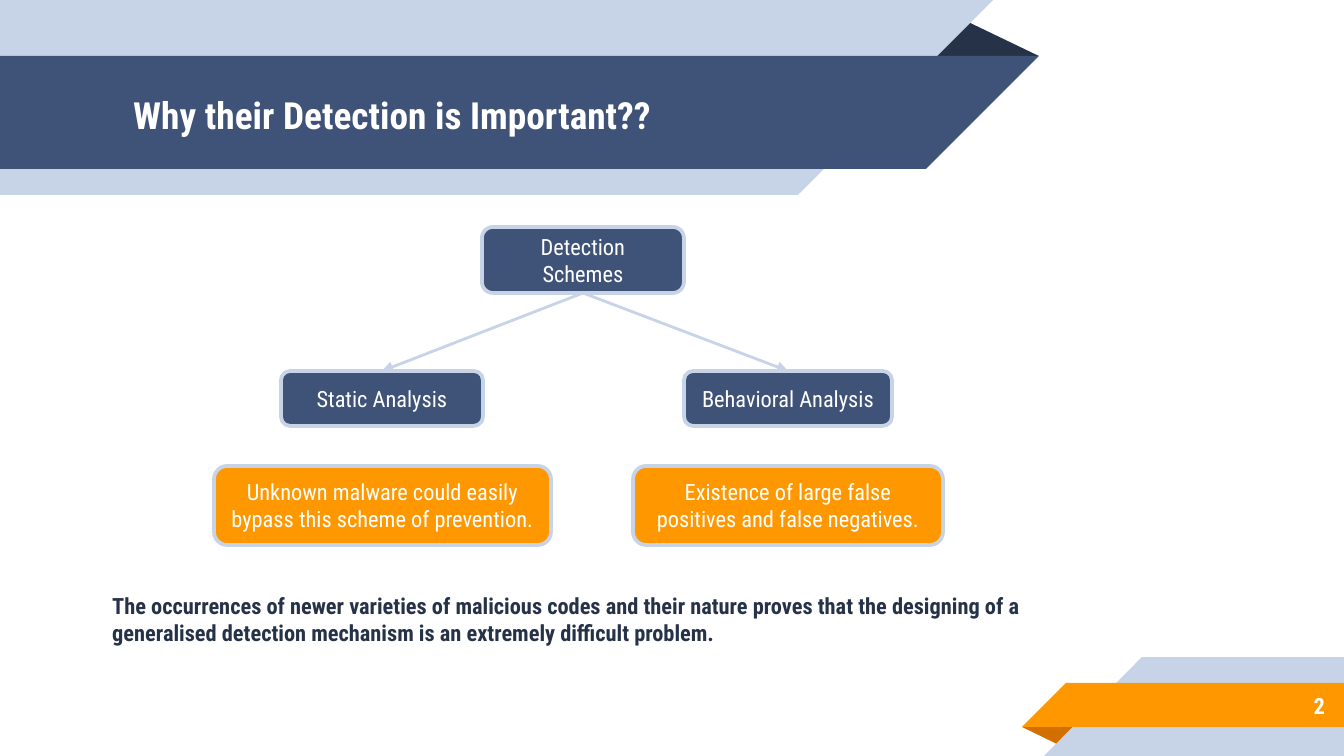
"""Build the slide on why detection of malware is important."""
import pptx
import pptx.util
import pptx.dml.color
import pptx.enum.shapes
import pptx.enum.text
from lxml import etree
from pptx.oxml.ns import qn

PX = 914400 / 134.4
W, H = 1344, 756
FONT = "Roboto Condensed"
COLORS = {"navy": "263248", "blue": "3F5378", "pale": "C7D3E6",
          "orange": "FF9800", "rust": "D26F00", "white": "FFFFFF"}
ALIGN = pptx.enum.text.PP_ALIGN
ANCHOR = pptx.enum.text.MSO_ANCHOR

RIBBONS = [
    ("navy", [(925, 56), (962, 19), (1039, 56)]),
    ("pale", [(0, 0), (993, 0), (798, 195), (0, 195)]),
    ("blue", [(0, 56), (1039, 56), (926, 169), (0, 169)]),
    ("rust", [(1022, 727), (1079, 727), (1061, 746)]),
    ("pale", [(1142, 657), (W, 657), (W, H), (1044, H)]),
    ("orange", [(1066, 683), (W, 683), (W, 727), (1022, 727)]),
]
TITLE = "Why their Detection is Important??"
PAGE = "2"
CONCLUSION = ("The occurrences of newer varieties of malicious codes and their nature proves "
              "that the designing of a generalised detection mechanism is an extremely "
              "difficult problem.")
ROOT = ("Detection Schemes", 482, 202)
SCHEMES = [("Static Analysis", 281, 202), ("Behavioral Analysis", 684, 208)]
DRAWBACKS = [
    ("Unknown malware could easily bypass this scheme of prevention.", 214, 337),
    ("Existence of large false positives and false negatives.", 633, 310),
]


def emu(*lengths):
    return [pptx.util.Emu(round(v * PX)) for v in lengths]


def rgb(name):
    return pptx.dml.color.RGBColor.from_string(COLORS[name])


def write(sp, text, size=12, color="white", bold=False, align=ALIGN.LEFT, anchor=ANCHOR.MIDDLE):
    tf = sp.text_frame
    tf.word_wrap = True
    tf.vertical_anchor = anchor
    p = tf.paragraphs[0]
    p.alignment = align
    r = p.add_run()
    r.text = text
    r.font.name, r.font.size, r.font.bold = FONT, pptx.util.Pt(size), bold
    r.font.color.rgb = rgb(color)
    return p


def add_text(s, box, text, **fmt):
    return write(s.shapes.add_textbox(*emu(*box)), text, **fmt)


def add_ribbon(s, color, points):
    fb = s.shapes.build_freeform(*points[0], scale=PX)
    fb.add_line_segments(points[1:], close=True)
    sp = fb.convert_to_shape()
    sp.shadow.inherit = False
    sp.fill.solid()
    sp.fill.fore_color.rgb = rgb(color)
    sp.line.fill.background()


def add_node(s, node, top, height, color):
    text, left, width = node
    kind = pptx.enum.shapes.MSO_SHAPE.ROUNDED_RECTANGLE
    sp = s.shapes.add_shape(kind, *emu(left, top, width, height))
    sp.shadow.inherit = False
    sp.fill.solid()
    sp.fill.fore_color.rgb = rgb(color)
    sp.line.color.rgb = rgb("pale")
    sp.line.width = pptx.util.Pt(2)
    write(sp, text, align=ALIGN.CENTER)
    return sp


def add_arrow(s, start, end):
    cx = s.shapes.add_connector(pptx.enum.shapes.MSO_CONNECTOR.STRAIGHT, 0, 0, 0, 0)
    cx.begin_connect(start, 2)
    cx.end_connect(end, 0)
    cx.line.color.rgb = rgb("pale")
    cx.line.width = pptx.util.Pt(1.5)
    etree.SubElement(cx.line._get_or_add_ln(), qn("a:tailEnd"), type="triangle")
    etree.SubElement(cx._element.spPr, qn("a:effectLst"))


def main():
    prs = pptx.Presentation()
    prs.slide_width, prs.slide_height = emu(W, H)
    s = prs.slides.add_slide(prs.slide_layouts[6])
    for color, points in RIBBONS:
        add_ribbon(s, color, points)
    add_text(s, (120, 58, 773, 113), TITLE, size=20, bold=True)
    add_text(s, (1119, 682, 219, 47), PAGE, bold=True, align=ALIGN.RIGHT)
    p = add_text(s, (83, 586, 1000, 67), CONCLUSION, color="navy", bold=True, anchor=ANCHOR.TOP)
    p._p.get_or_add_pPr().set("marL", str(emu(16)[0]))
    root = add_node(s, ROOT, 227, 66, "blue")
    for scheme in SCHEMES:
        add_arrow(s, root, add_node(s, scheme, 371, 55, "blue"))
    for drawback in DRAWBACKS:
        add_node(s, drawback, 466, 79, "orange")
    prs.save("out.pptx")


if __name__ == "__main__":
    main()
